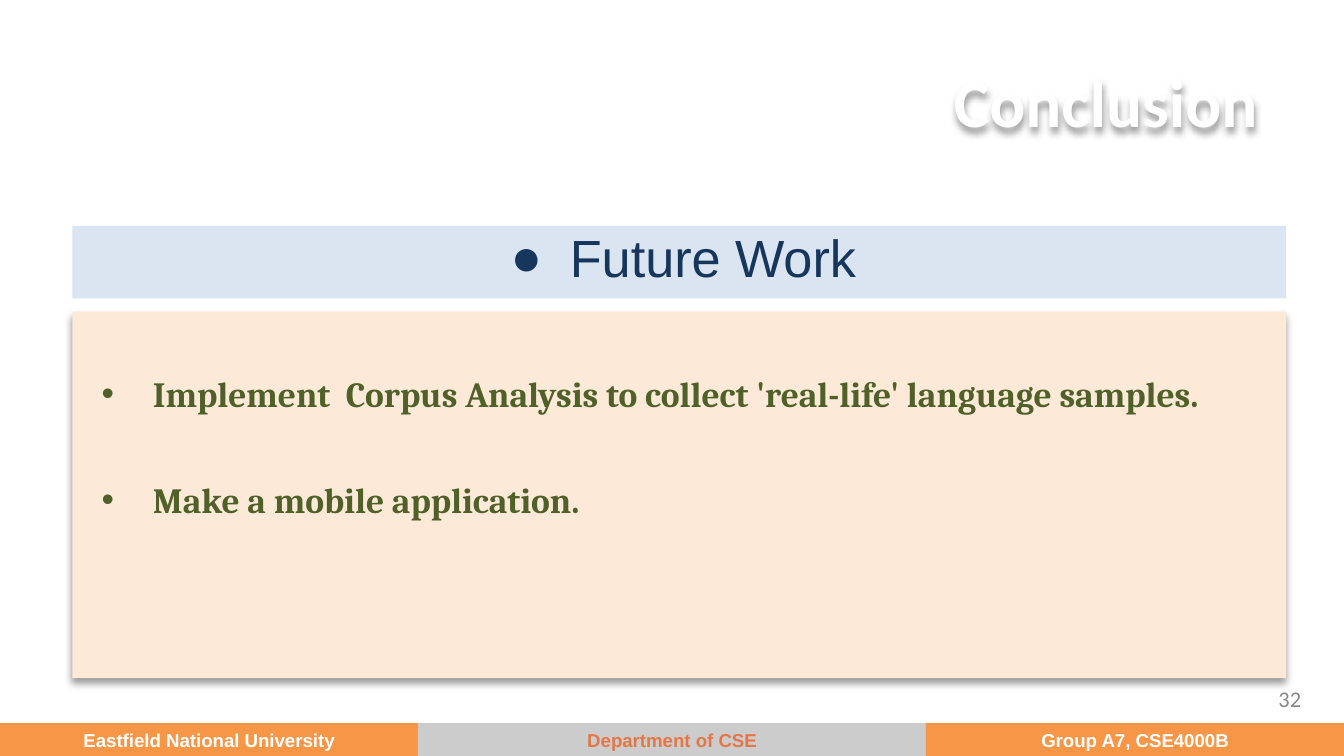
from lxml.etree import SubElement
from pptx import Presentation
from pptx.dml.color import RGBColor
from pptx.enum.shapes import MSO_SHAPE
from pptx.enum.text import MSO_ANCHOR, PP_ALIGN
from pptx.oxml.ns import qn
from pptx.util import Cm, Pt

COLORS = {
    "white": "FFFFFF", "orange": "F79646", "grey": "CCCCCC", "rust": "E57746",
    "number": "888888", "pale blue": "DAE5F1", "navy": "17365D",
    "peach": "FDE9D8", "green": "4F6128", "black": "000000",
}
SLIDE_WIDTH, SLIDE_HEIGHT = 25.4, 14.29
LEFT, WIDTH = 1.37, 22.94
FOOTER_HEIGHT = 0.62


class SlideBuilder:
    def __init__(self, slide):
        self.slide = slide

    def set_up_frame(self, shape, anchor, insets):
        """Insets are left, top, right and bottom in centimetres."""
        frame = shape.text_frame
        frame.word_wrap = True
        frame.vertical_anchor = anchor
        (frame.margin_left, frame.margin_top,
         frame.margin_right, frame.margin_bottom) = map(Cm, insets)

    def box(self, area, fill, anchor=MSO_ANCHOR.TOP, insets=(0.25, 0.13, 0.25, 0.13)):
        shape = self.slide.shapes.add_shape(MSO_SHAPE.RECTANGLE, *map(Cm, area))
        shape.shadow.inherit = False
        shape.fill.solid()
        shape.fill.fore_color.rgb = RGBColor.from_string(COLORS[fill])
        shape.line.fill.background()
        self.set_up_frame(shape, anchor, insets)
        return shape

    def label(self, area, insets=(0.25, 0.13, 0.25, 0.13)):
        shape = self.slide.shapes.add_textbox(*map(Cm, area))
        self.set_up_frame(shape, MSO_ANCHOR.MIDDLE, insets)
        return shape

    def add_text(self, paragraph, text, font, size, color, align, bold=False):
        paragraph.alignment = align
        run = paragraph.add_run()
        run.text = text
        run.font.name = font
        run.font.size = Pt(size)
        run.font.bold = bold
        run.font.color.rgb = RGBColor.from_string(COLORS[color])

    def bullet(self, paragraph, mark, color, indent, hanging):
        properties = paragraph._p.get_or_add_pPr()
        properties.set("marL", str(Cm(indent)))
        properties.set("indent", str(-Cm(hanging)))
        tint = SubElement(properties, qn("a:buClr"))
        SubElement(tint, qn("a:srgbClr"), val=COLORS[color])
        SubElement(properties, qn("a:buFont"), typeface="Arial")
        SubElement(properties, qn("a:buChar"), char=mark)

    def drop_shadow(self, shape):
        """On a box without fill, the shadow falls from its letters."""
        shape.shadow.inherit = False
        effects = shape._element.spPr.find(qn("a:effectLst"))
        shadow = SubElement(effects, qn("a:outerShdw"), blurRad=str(Pt(4)),
                            dist=str(Pt(3)), dir="5400000", rotWithShape="0")
        tint = SubElement(shadow, qn("a:srgbClr"), val=COLORS["black"])
        SubElement(tint, qn("a:alpha"), val="40000")


def main():
    presentation = Presentation()
    presentation.slide_width = Cm(SLIDE_WIDTH)
    presentation.slide_height = Cm(SLIDE_HEIGHT)
    builder = SlideBuilder(presentation.slides.add_slide(presentation.slide_layouts[6]))

    footer_left = 0
    for text, width, fill, color in (
        ("Eastfield National University", 7.9, "orange", "white"),
        ("Department of CSE", 9.6, "grey", "rust"),
        ("Group A7, CSE4000B", 7.9, "orange", "white"),
    ):
        band = builder.box((footer_left, SLIDE_HEIGHT - FOOTER_HEIGHT, width, FOOTER_HEIGHT),
                           fill, MSO_ANCHOR.MIDDLE, (0.25, 0, 0.25, 0))
        builder.add_text(band.text_frame.paragraphs[0], text, "Arial", 10, color,
                         PP_ALIGN.CENTER, bold=True)
        footer_left += width

    title = builder.label((LEFT, 0.84, WIDTH, 2.11), (0.25, 0.13, 0.54, 0.13))
    builder.add_text(title.text_frame.paragraphs[0], "Conclusion", "Calibri", 36, "white",
                     PP_ALIGN.RIGHT, bold=True)
    builder.drop_shadow(title)

    page_number = builder.label((18.92, 12.83, 5.92, 0.76))
    builder.add_text(page_number.text_frame.paragraphs[0], "32", "Calibri", 12, "number",
                     PP_ALIGN.RIGHT)

    heading = builder.box((LEFT, 4.27, WIDTH, 1.37), "pale blue")
    future_work = heading.text_frame.paragraphs[0]
    future_work.line_spacing = 0.9
    future_work.space_before = Pt(5.6)
    builder.add_text(future_work, "Future Work", "Arial", 28, "navy", PP_ALIGN.CENTER)
    builder.bullet(future_work, "●", "navy", 1.27, 1.12)

    plans = builder.box((LEFT, 5.89, WIDTH, 6.93), "peach", insets=(0.25, 1.14, 0.25, 0.13))
    builder.drop_shadow(plans)
    for index, text in enumerate((
        "Implement  Corpus Analysis to collect 'real-life' language samples.",
        "Make a mobile application.",
    )):
        frame = plans.text_frame
        plan = frame.add_paragraph() if index else frame.paragraphs[0]
        plan.space_before = Pt(34 if index else 0)
        builder.add_text(plan, text, "Cambria", 19, "green", PP_ALIGN.JUSTIFY, bold=True)
        builder.bullet(plan, "•", "green", 1.27, 0.97)

    presentation.save("out.pptx")


if __name__ == "__main__":
    main()
